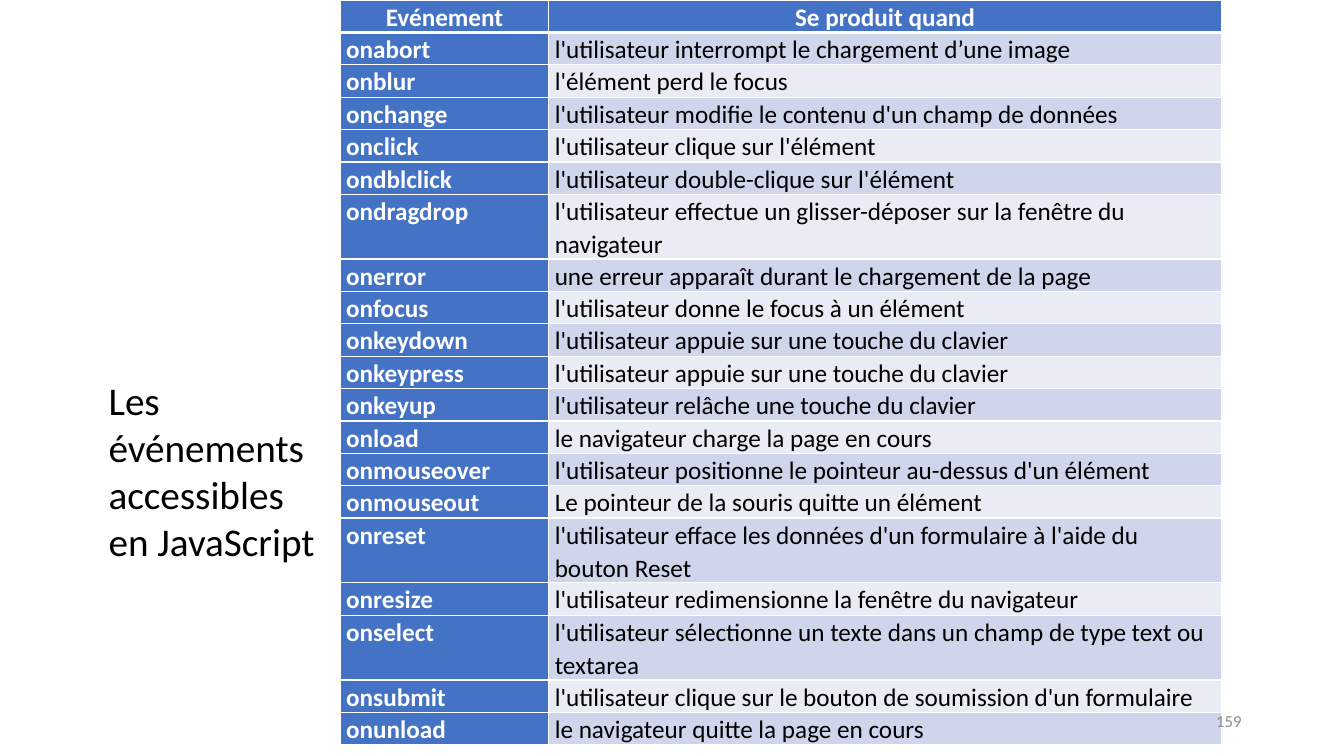
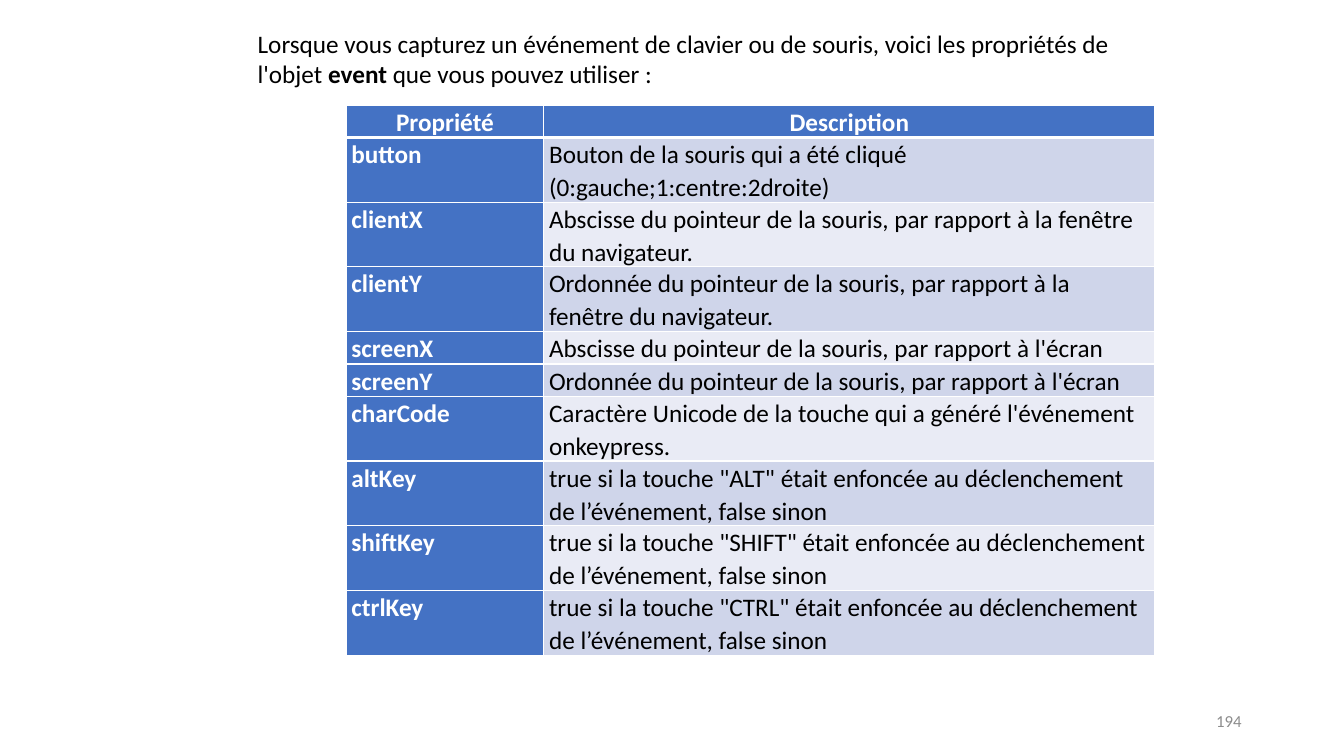
from lxml import etree
from pptx import Presentation
from pptx.dml.color import RGBColor
from pptx.enum.text import MSO_ANCHOR, PP_ALIGN
from pptx.oxml.ns import qn
from pptx.util import Pt

CENTER, LEFT, RIGHT = PP_ALIGN.CENTER, PP_ALIGN.LEFT, PP_ALIGN.RIGHT
TOP, MIDDLE = MSO_ANCHOR.TOP, MSO_ANCHOR.MIDDLE

FONT = "Calibri"
WHITE, BLACK, GREY = "FFFFFF", "000000", "8C8C8C"
BLUE = "4472C4"
BANDS = ("CFD5EA", "E9EBF5")
ROW_HEIGHT = 23
NUMBER_BOX = (678, 500.5, 216, 28.75)

EVENTS = [
    ("Evénement", "Se produit quand"),
    ("onabort", "l'utilisateur interrompt le chargement d’une image"),
    ("onblur", "l'élément perd le focus"),
    ("onchange", "l'utilisateur modifie le contenu d'un champ de données"),
    ("onclick", "l'utilisateur clique sur l'élément"),
    ("ondblclick", "l'utilisateur double-clique sur l'élément"),
    ("ondragdrop", "l'utilisateur effectue un glisser-déposer sur la fenêtre du navigateur"),
    ("onerror", "une erreur apparaît durant le chargement de la page"),
    ("onfocus", "l'utilisateur donne le focus à un élément"),
    ("onkeydown", "l'utilisateur appuie sur une touche du clavier"),
    ("onkeypress", "l'utilisateur appuie sur une touche du clavier"),
    ("onkeyup", "l'utilisateur relâche une touche du clavier"),
    ("onload", "le navigateur charge la page en cours"),
    ("onmouseover", "l'utilisateur positionne le pointeur au-dessus d'un élément"),
    ("onmouseout", "Le pointeur de la souris quitte un élément"),
    ("onreset", "l'utilisateur efface les données d'un formulaire à l'aide du bouton Reset"),
    ("onresize", "l'utilisateur redimensionne la fenêtre du navigateur"),
    ("onselect", "l'utilisateur sélectionne un texte dans un champ de type text ou textarea"),
    ("onsubmit", "l'utilisateur clique sur le bouton de soumission d'un formulaire"),
    ("onunload", "le navigateur quitte la page en cours"),
]

PROPERTIES = [
    ("Propriété", "Description"),
    ("button", "Bouton de la souris qui a été cliqué (0:gauche;1:centre:2droite)"),
    ("clientX", "Abscisse du pointeur de la souris, par rapport à la fenêtre du navigateur."),
    ("clientY", "Ordonnée du pointeur de la souris, par rapport à la fenêtre du navigateur."),
    ("screenX", "Abscisse du pointeur de la souris, par rapport à l'écran"),
    ("screenY", "Ordonnée du pointeur de la souris, par rapport à l'écran"),
    ("charCode", "Caractère Unicode de la touche qui a généré l'événement onkeypress."),
    ("altKey", 'true si la touche "ALT" était enfoncée au déclenchement de l’événement, false sinon'),
    ("shiftKey", 'true si la touche "SHIFT" était enfoncée au déclenchement de l’événement, false sinon'),
    ("ctrlKey", 'true si la touche "CTRL" était enfoncée au déclenchement de l’événement, false sinon'),
]


def rgb(color):
    return RGBColor.from_string(color)


def style_span(span, size, color, bold=False):
    span.font.name = FONT
    span.font.size = Pt(size)
    span.font.bold = bold
    span.font.color.rgb = rgb(color)


def add_text(page, place, spans, size, color=BLACK, align=LEFT, anchor=TOP):
    """Place one paragraph made of (text, bold) spans."""
    frame = page.shapes.add_textbox(*map(Pt, place)).text_frame
    frame.word_wrap = True
    frame.vertical_anchor = anchor
    para = frame.paragraphs[0]
    para.alignment = align
    for text, bold in spans:
        span = para.add_run()
        span.text = text
        style_span(span, size, color, bold)


def add_page_number(page, number):
    add_text(page, NUMBER_BOX, [(number, False)], 12, GREY, RIGHT, MIDDLE)


def set_borders(cell, top, bottom):
    """Draw white cell borders, one point wide at the sides."""
    properties = cell._tc.get_or_add_tcPr()
    for side, width in (("L", 1), ("R", 1), ("T", top), ("B", bottom)):
        line = etree.SubElement(properties, qn(f"a:ln{side}"), w=str(Pt(width)))
        fill = etree.SubElement(line, qn("a:solidFill"))
        etree.SubElement(fill, qn("a:srgbClr"), val=WHITE)


def fill_cell(cell, text, row, column, inset):
    header = row == 0
    strong = header or column == 0
    set_borders(cell, top=3 if row == 1 else 1, bottom=3 if header else 1)
    cell.fill.solid()
    cell.fill.fore_color.rgb = rgb(BLUE if strong else BANDS[(row - 1) % 2])
    cell.margin_left = cell.margin_right = Pt(inset)
    cell.margin_top = cell.margin_bottom = 0
    cell.text_frame.text = text
    para = cell.text_frame.paragraphs[0]
    para.alignment = CENTER if header else LEFT
    para.line_spacing = 1.07
    style_span(para.runs[0], 18, WHITE if strong else BLACK, strong)


def add_glossary(page, left, top, widths, rows, inset):
    """Build a two-column table of terms and explanations."""
    frame = page.shapes.add_table(len(rows), len(widths), Pt(left), Pt(top),
                                  Pt(sum(widths)), Pt(ROW_HEIGHT * len(rows)))
    table = frame.table
    table.first_col = True
    for column, width in zip(table.columns, widths):
        column.width = Pt(width)
    for row, texts in enumerate(rows):
        table.rows[row].height = Pt(ROW_HEIGHT)
        for column, text in enumerate(texts):
            fill_cell(table.cell(row, column), text, row, column, inset)


def add_events_page(page):
    add_text(page, (70.5, 265, 172, 177),
             [("Les événements accessibles en JavaScript", False)], 28)
    add_glossary(page, 243, 0, (149, 480.5), EVENTS, 4.3)
    add_page_number(page, "159")


def add_properties_page(page):
    add_glossary(page, 247.25, 75, (141.25, 436.5), PROPERTIES, 3.75)
    add_text(page, (177, 16.5, 648, 51), [
        ("Lorsque vous capturez un événement de clavier ou de souris, "
         "voici les propriétés de l'objet ", False),
        ("event", True),
        (" que vous pouvez utiliser :", False),
    ], 18)
    add_page_number(page, "194")


def main():
    deck = Presentation()
    deck.slide_width, deck.slide_height = Pt(960), Pt(540)
    blank = deck.slide_layouts[6]
    for build in (add_events_page, add_properties_page):
        build(deck.slides.add_slide(blank))
    deck.save("out.pptx")


if __name__ == "__main__":
    main()
